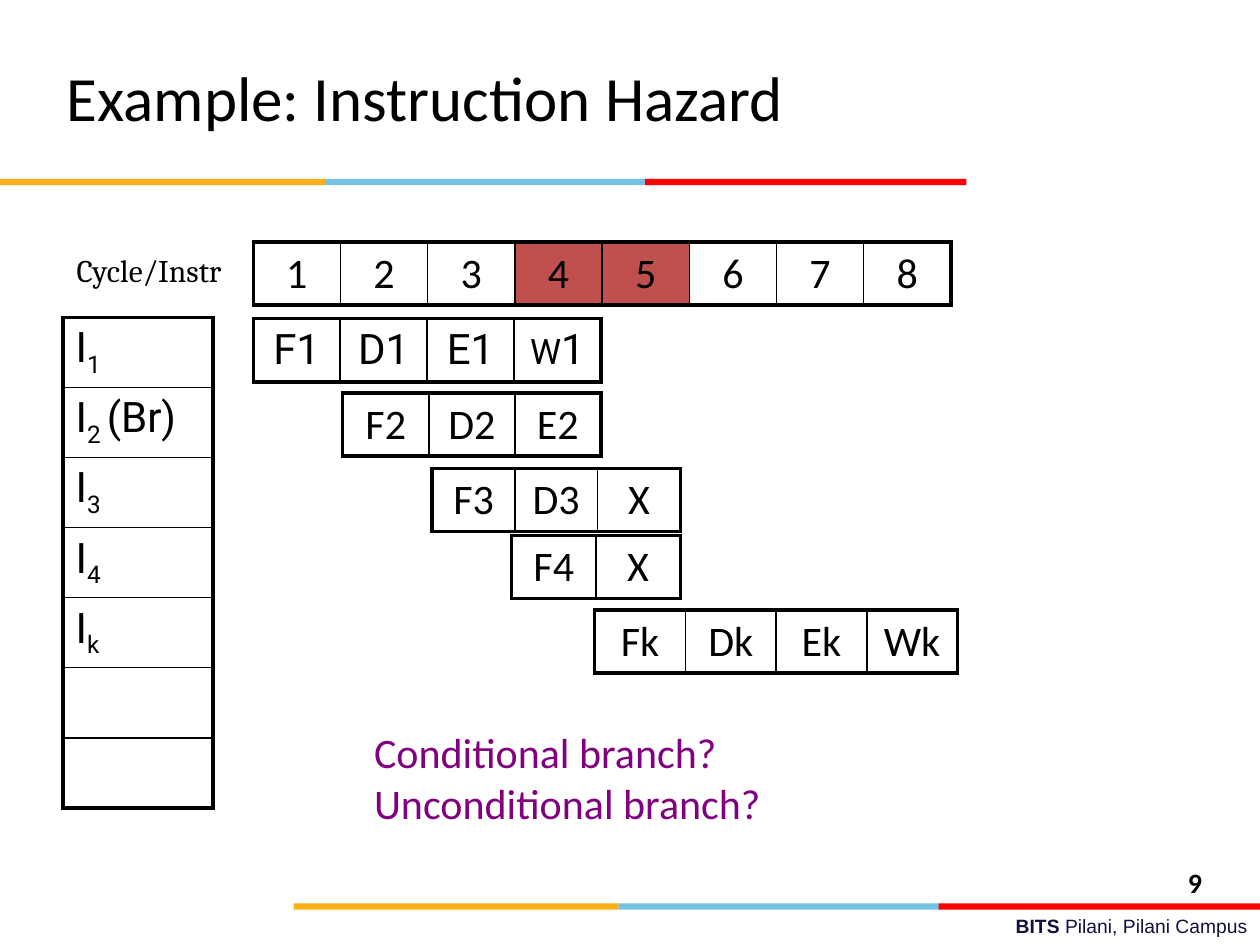
from dataclasses import dataclass

from lxml import etree
from pptx import Presentation
from pptx.dml.color import RGBColor
from pptx.enum import shapes, text
from pptx.oxml import ns
from pptx.util import Inches, Pt


@dataclass(frozen=True)
class Theme:
    ink: str = "000000"
    stall: str = "C0504D"
    paper: str = "FFFFFF"
    question: str = "800080"
    campus: str = "101141"
    bars: tuple[str, ...] = ("FCB017", "76C2E5", "FF0000")
    main_font: str = "Calibri"
    label_font: str = "Roboto"
    axis_font: str = "Cambria"
    footer_font: str = "Arial"
    title_size: float = 36
    cell_size: float = 24
    small_cell_size: float = 20
    axis_size: float = 18
    number_size: float = 16
    footer_size: float = 11
    outer_line: float = 2.25
    inner_line: float = 1


THEME = Theme()


@dataclass(frozen=True)
class Part:
    """A stretch of text inside a cell."""
    words: str
    size: float = THEME.cell_size
    subscript: bool = False


Cell = tuple[Part, ...]


@dataclass(frozen=True)
class Grid:
    left: float
    top: float
    width: float
    row_height: float
    rows: list[list[Cell]]
    font: str = THEME.main_font
    align: text.PP_ALIGN = text.PP_ALIGN.CENTER
    stalled: tuple[int, ...] = ()


@dataclass(frozen=True)
class Label:
    words: str
    left: float
    top: float
    width: float
    height: float
    size: float
    font: str = THEME.main_font
    colour: str = THEME.ink
    wrap: bool = True


def style_run(run, size: float, font: str, colour: str, bold: bool = False) -> None:
    run.font.size = Pt(size)
    run.font.name = font
    run.font.bold = bold
    run.font.color.rgb = RGBColor.from_string(colour)


def draw_border(cell, side: str, points: float) -> None:
    line = etree.SubElement(cell._tc.get_or_add_tcPr(), ns.qn(f"a:ln{side}"), w=str(Pt(points)))
    fill = etree.SubElement(line, ns.qn("a:solidFill"))
    etree.SubElement(fill, ns.qn("a:srgbClr"), val=THEME.ink)


def draw_grid(slide, grid: Grid) -> None:
    row_count, column_count = len(grid.rows), len(grid.rows[0])
    table = slide.shapes.add_table(
        row_count, column_count, Inches(grid.left), Inches(grid.top),
        Inches(grid.width), Inches(grid.row_height * row_count)).table
    table.first_row = table.horz_banding = False
    for r, row in enumerate(grid.rows):
        for c, parts in enumerate(row):
            cell = table.cell(r, c)
            edges = {"L": c == 0, "R": c == column_count - 1,
                     "T": r == 0, "B": r == row_count - 1}
            for side, is_outer in edges.items():
                draw_border(cell, side, THEME.outer_line if is_outer else THEME.inner_line)
            cell.fill.solid()
            cell.fill.fore_color.rgb = RGBColor.from_string(
                THEME.stall if c in grid.stalled else THEME.paper)
            paragraph = cell.text_frame.paragraphs[0]
            paragraph.alignment = grid.align
            for part in parts:
                run = paragraph.add_run()
                run.text = part.words
                style_run(run, part.size, grid.font, THEME.ink)
                if part.subscript:
                    run._r.get_or_add_rPr().set("baseline", "-25000")


def draw_label(slide, label: Label, bold: bool = False):
    frame = slide.shapes.add_textbox(
        Inches(label.left), Inches(label.top),
        Inches(label.width), Inches(label.height)).text_frame
    frame.word_wrap = label.wrap
    frame.text = label.words
    for paragraph in frame.paragraphs:
        for run in paragraph.runs:
            style_run(run, label.size, label.font, label.colour, bold)
    return frame


def draw_colour_bar(slide, left: float, top: float) -> None:
    for colour, offset, width in zip(THEME.bars, (0, 2.58, 5.12), (2.58, 2.55, 2.55)):
        band = slide.shapes.add_shape(
            shapes.MSO_SHAPE.RECTANGLE, Inches(left + offset), Inches(top),
            Inches(width), Inches(0.05))
        band.shadow.inherit = False
        band.fill.solid()
        band.fill.fore_color.rgb = RGBColor.from_string(colour)
        band.line.fill.background()


def draw_title(slide, words: str) -> None:
    title = slide.shapes.title
    title.left, title.top = Inches(0.43), Inches(0.3)
    title.width, title.height = Inches(6.69), Inches(0.93)
    frame = title.text_frame
    frame.text = words
    frame.auto_size = text.MSO_AUTO_SIZE.NONE
    frame.vertical_anchor = text.MSO_ANCHOR.MIDDLE
    frame.paragraphs[0].alignment = text.PP_ALIGN.LEFT
    style_run(frame.paragraphs[0].runs[0], THEME.title_size, THEME.main_font, THEME.ink)


def draw_footer(slide) -> None:
    draw_colour_bar(slide, 2.33, 7.17)
    frame = draw_label(slide, Label("BITS ", 3.58, 7.21, 6.42, 0.29, THEME.footer_size,
                                    THEME.footer_font, THEME.campus), bold=True)
    paragraph = frame.paragraphs[0]
    paragraph.alignment = text.PP_ALIGN.RIGHT
    campus = paragraph.add_run()
    campus.text = "Pilani, Pilani Campus"
    style_run(campus, THEME.footer_size, THEME.footer_font, THEME.campus)
    draw_label(slide, Label("9", 9.33, 6.82, 0.67, 0.32, THEME.number_size), bold=True)


def stages(names: str) -> list[list[Cell]]:
    return [[(Part(name),) for name in names.split()]]


def instruction(index: str, note: str = "") -> list[Cell]:
    parts = (Part("I"), Part(index, subscript=True))
    return [parts + ((Part(note),) if note else ())]


def main() -> None:
    presentation = Presentation()
    presentation.slide_width, presentation.slide_height = Inches(10), Inches(7.5)
    slide = presentation.slides.add_slide(presentation.slide_layouts[5])

    draw_footer(slide)
    draw_colour_bar(slide, 0, 1.42)
    draw_title(slide, "Example: Instruction Hazard")

    instructions = [instruction("1"), instruction("2 ", "(Br)"), instruction("3"),
                    instruction("4"), instruction("k"), [()], [()]]
    first_stages = stages("F1 D1 E1")
    first_stages[0].append((Part("W", THEME.small_cell_size), Part("1")))
    grids = [
        Grid(2.01, 1.92, 5.54, 0.5, stages("1 2 3 4 5 6 7 8"), stalled=(3, 4)),
        Grid(0.5, 2.52, 1.19, 0.556, instructions, THEME.label_font, text.PP_ALIGN.LEFT),
        Grid(2.01, 2.53, 2.76, 0.5, first_stages, THEME.label_font),
        Grid(2.72, 3.12, 2.05, 0.5, stages("F2 D2 E2")),
        Grid(3.43, 3.72, 1.97, 0.5, stages("F3 D3 X")),
        Grid(4.06, 4.25, 1.34, 0.5, stages("F4 X")),
        Grid(4.72, 4.84, 2.88, 0.5, stages("Fk Dk Ek Wk")),
    ]
    for grid in grids:
        draw_grid(slide, grid)

    draw_label(slide, Label("Cycle/Instr", 0.51, 1.94, 1.4, 0.4, THEME.axis_size,
                            THEME.axis_font, wrap=False))
    draw_label(slide, Label("Conditional branch?\nUnconditional branch?", 2.87, 5.72, 3.78,
                            0.91, THEME.cell_size, colour=THEME.question))
    presentation.save("out.pptx")


if __name__ == "__main__":
    main()
